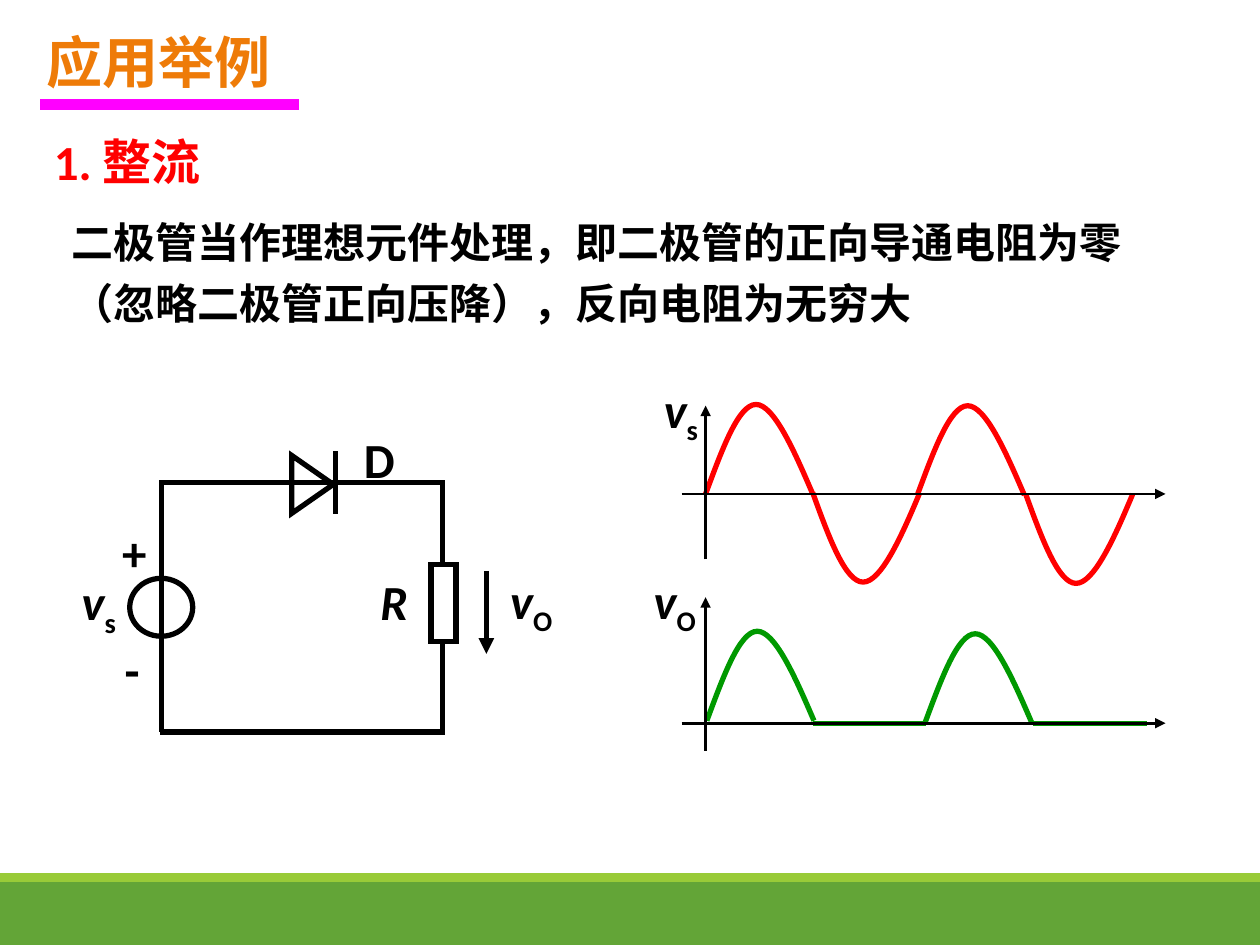
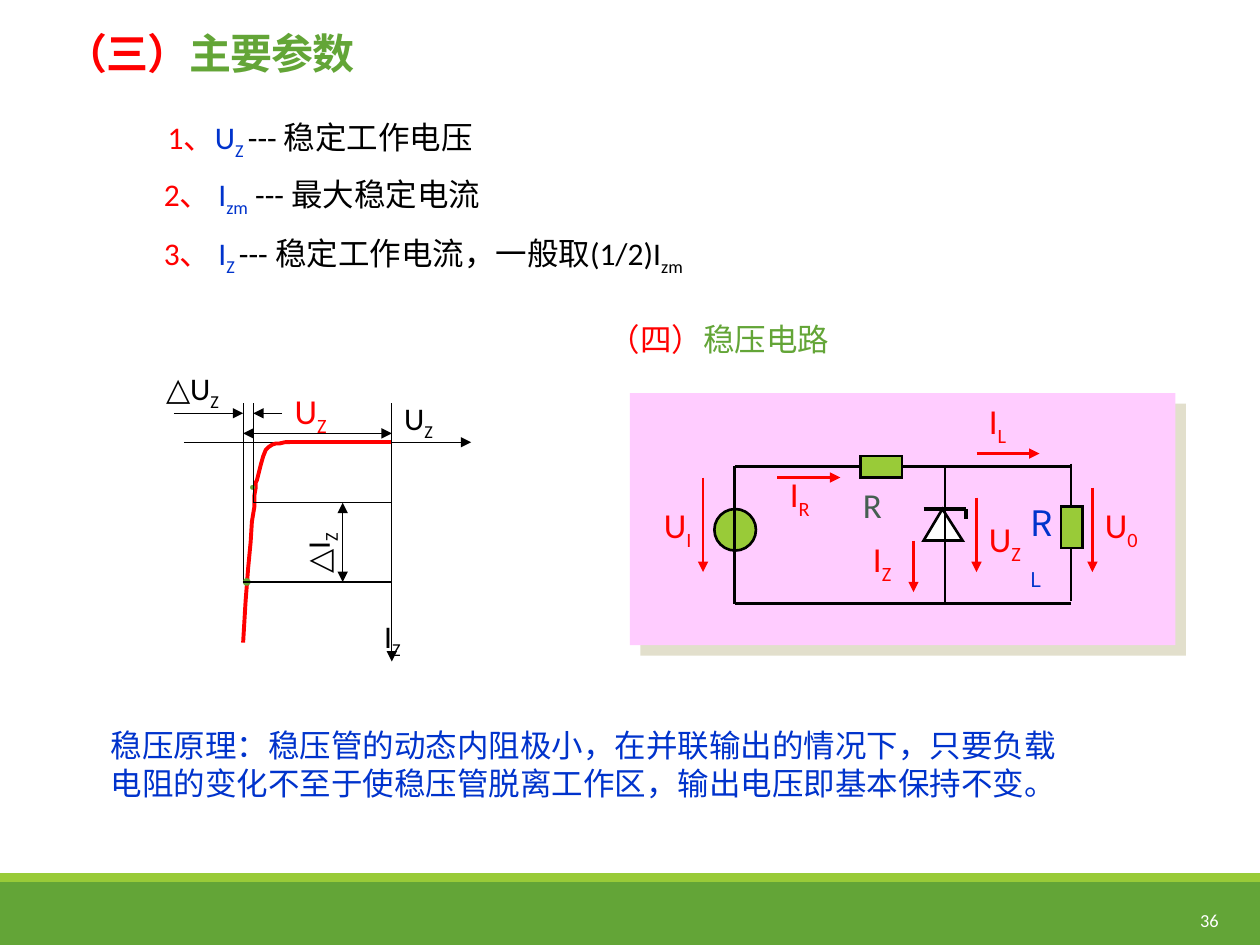
from dataclasses import dataclass

import pptx
import pptx.dml.color
import pptx.enum.shapes
import pptx.enum.text
import pptx.oxml.ns
import pptx.util
from lxml import etree

SCALE = 9144  # EMU in one px, at 100 px to the inch
COLORS = {
    "black": "000000", "white": "FFFFFF", "red": "FF0000", "blue": "0033CC",
    "green": "63A537", "lime": "99CB38", "orange": "EE7B08", "magenta": "FF00FF",
    "wave": "009900", "pink": "FFCCFF", "shade": "E2DFCC", "slate": "455F51",
}
LATIN, CJK, SERIF = "Calibri", "Noto Sans CJK SC", "Times New Roman"
SHAPES = pptx.enum.shapes.MSO_SHAPE
ANCHORS = pptx.enum.text.MSO_ANCHOR
ALIGN = pptx.enum.text.PP_ALIGN
TAIL, BOTH = ("tailEnd",), ("headEnd", "tailEnd")
qn = pptx.oxml.ns.qn

@dataclass
class Wire:
    start: tuple
    end: tuple
    color: str = "black"
    width: float = 1.5
    arrows: tuple = ()
    cap: str = "flat"

@dataclass
class Area:
    x: int
    y: int
    w: int
    h: int

@dataclass
class Box(Area):
    fill: str = ""
    line: str = "black"
    width: float = 1.5
    kind: int = SHAPES.RECTANGLE
    rotation: int = 0
    shadow: str = ""

@dataclass
class Outline:
    points: list
    color: str
    width: float
    fill: str = ""
    closed: bool = False
    curved: bool = False  # points after the first are Bézier triples

@dataclass
class Run:
    text: str
    color: str = ""
    sub: bool = False
    italic: bool = False

@dataclass
class Label(Area):
    runs: list
    size: float
    color: str = "black"
    font: str = LATIN
    bold: bool = False
    inset: bool = True
    anchor: int = ANCHORS.TOP
    align: int = ALIGN.LEFT
    spacing: float = 1.0
    tracking: int = 0
    rotation: int = 0

def px(*lengths: int) -> list:
    return [length * SCALE for length in lengths]

def rgb(name: str) -> pptx.dml.color.RGBColor:
    return pptx.dml.color.RGBColor.from_string(COLORS[name])

def style_shape(shape, fill: str, line: str, width: float) -> None:
    shape.shadow.inherit = False
    shape.fill.background()
    if fill:
        shape.fill.solid()
        shape.fill.fore_color.rgb = rgb(fill)
    shape.line.fill.background()
    if line:
        shape.line.color.rgb = rgb(line)
        shape.line.width = pptx.util.Pt(width)
        etree.SubElement(shape.line._get_or_add_ln(), qn("a:miter"), lim="800000")

def draw_wire(slide, wire: Wire) -> None:
    connector = slide.shapes.add_connector(
        pptx.enum.shapes.MSO_CONNECTOR.STRAIGHT, *px(*wire.start, *wire.end))
    connector.line.color.rgb = rgb(wire.color)
    connector.line.width = pptx.util.Pt(wire.width)
    stroke = connector.line._get_or_add_ln()
    stroke.set("cap", wire.cap)
    for end in wire.arrows:
        etree.SubElement(stroke, qn(f"a:{end}"), type="triangle")
    etree.SubElement(connector._element.spPr, qn("a:effectLst"))

def draw_box(slide, box: Box) -> None:
    shape = slide.shapes.add_shape(box.kind, *px(box.x, box.y, box.w, box.h))
    style_shape(shape, box.fill, box.line, box.width)
    shape.rotation = box.rotation
    if box.shadow:
        cast = etree.SubElement(shape._element.spPr.find(qn("a:effectLst")), qn("a:outerShdw"),
                                blurRad="0", dist="107950", dir="2700000", algn="tl")
        etree.SubElement(cast, qn("a:srgbClr"), val=COLORS[box.shadow])

def draw_outline(slide, outline: Outline) -> None:
    builder = slide.shapes.build_freeform(*outline.points[0], scale=SCALE)
    builder.add_line_segments(outline.points[1:], close=outline.closed)
    shape = builder.convert_to_shape()
    style_shape(shape, outline.fill, outline.color, outline.width)
    if outline.curved:
        segments = list(shape._element.iter(qn("a:lnTo")))
        for first in range(0, len(segments), 3):
            curve = etree.Element(qn("a:cubicBezTo"))
            segments[first].addprevious(curve)
            for segment in segments[first:first + 3]:
                curve.append(segment[0])
                segment.getparent().remove(segment)

def draw_label(slide, label: Label) -> None:
    textbox = slide.shapes.add_textbox(*px(label.x, label.y, label.w, label.h))
    textbox.rotation = label.rotation
    frame = textbox.text_frame
    frame.word_wrap, frame.vertical_anchor = True, label.anchor
    if not label.inset:
        frame.margin_left = frame.margin_right = frame.margin_top = frame.margin_bottom = 0
    paragraph = frame.paragraphs[0]
    paragraph.alignment, paragraph.line_spacing = label.align, label.spacing
    font = paragraph.font
    font.name, font.size, font.bold = label.font, pptx.util.Pt(label.size), label.bold
    font.color.rgb = rgb(label.color)
    defaults = paragraph._p.pPr.find(qn("a:defRPr"))
    defaults.set("spc", str(label.tracking))
    etree.SubElement(defaults, qn("a:ea"), typeface=CJK)
    for part in label.runs:
        run = paragraph.add_run()
        run.text = part.text
        if part.color:
            run.font.color.rgb = rgb(part.color)
        if part.italic:
            run.font.italic = True
        if part.sub:
            run._r.get_or_add_rPr().set("baseline", "-25000")

DRAWERS = {Wire: draw_wire, Box: draw_box, Outline: draw_outline, Label: draw_label}

def draw(slide, *parts) -> None:
    for part in parts:
        DRAWERS[type(part)](slide, part)

def add_banded_slide(deck):
    slide = deck.slides.add_slide(deck.slide_layouts[6])
    draw(slide, Box(0, 700, 1000, 50, "green", ""), Box(0, 693, 1000, 7, "lime", ""))
    return slide

def symbol(letter: str, index: str, italic: bool = False) -> list:
    return [Run(letter, italic=italic), Run(index, sub=True)]

def half_wave(x: int, base: int, height: int, color: str) -> Outline:
    middle, peak = base - height // 2, base - height
    return Outline([(x, base), (x + 13, middle), (x + 26, peak), (x + 40, peak),
                    (x + 54, peak), (x + 70, middle), (x + 85, base)], color, 3, curved=True)

def circuit_label(x: int, y: int, w: int, runs: list) -> Label:
    return Label(x, y, w, 57, runs, 28, bold=True)

def thick(start: tuple, end: tuple, arrows: tuple = (), cap: str = "flat") -> Wire:
    return Wire(start, end, "black", 3, arrows, cap)

def build_rectifier(deck) -> None:
    slide = add_banded_slide(deck)
    v_s, v_o = symbol("v", "s", True), symbol("v", "O", True)
    # Headings and explanation
    draw(slide,
         Label(27, 17, 376, 63, [Run("应用举例")], 32, "orange", CJK, True),
         Label(33, 96, 582, 59, [Run("1. 整流")], 28, "red", bold=True,
               anchor=ANCHORS.MIDDLE, spacing=1.1),
         Wire((36, 83), (233, 83), "magenta", 6, cap="sq"),
         Label(47, 159, 876, 106,
               [Run("二极管当作理想元件处理，即二极管的正向导通电阻为零"
                    "（忽略二极管正向压降），反向电阻为无穷大")],
               24, font=SERIF, bold=True, anchor=ANCHORS.MIDDLE, spacing=1.2))
    # Rectifier circuit
    draw(slide,
         thick((129, 383), (353, 383)), thick((127, 581), (353, 581)),
         thick((351, 383), (351, 581)), thick((386, 453), (386, 519), TAIL),
         circuit_label(279, 336, 60, [Run("D")]),
         circuit_label(292, 449, 49, [Run("R", italic=True)]),
         Box(225, 368, 46, 33, width=3, kind=SHAPES.ISOSCELES_TRIANGLE, rotation=90),
         thick((266, 406), (266, 360), cap="sq"),
         Box(342, 448, 20, 61, "white", width=3),
         circuit_label(395, 448, 60, v_o),
         thick((128, 381), (128, 581)),
         Box(103, 459, 50, 46, width=3, kind=SHAPES.OVAL),
         circuit_label(55, 449, 57, v_s),
         circuit_label(87, 410, 39, [Run("+")]),
         circuit_label(89, 503, 39, [Run("-")]))
    # Input and output waveforms
    for x, base, height in ((560, 392, 71), (645, 391, -71), (728, 393, 71), (814, 392, -71)):
        draw(slide, half_wave(x, base, height, "red"))
    draw(slide, half_wave(561, 572, 71, "wave"), half_wave(734, 574, 71, "wave"))
    draw(slide, *[Wire((x, 574), (x + 90, 574), "wave", 3) for x in (645, 820)])
    draw(slide, *[Wire((541, y), (925, y), arrows=TAIL) for y in (392, 574)])
    draw(slide, *[Wire((560, y), (560, y - 122), arrows=TAIL) for y in (596, 444)])
    draw(slide, circuit_label(517, 296, 57, v_s), circuit_label(509, 448, 60, v_o))

def parameter(x: int, y: int, w: int, number: str, letter: str, index: str, *meaning) -> Label:
    runs = [Run(number, "red"), Run(letter, "blue"), Run(index, "blue", True), *meaning]
    return Label(x, y, w, 40, runs, 18, inset=False)

def red_symbol(x: int, y: int, w: int, letter: str, index: str) -> Label:
    return Label(x, y, w, 43, symbol(letter, index), 20, "red")

def thin(start: tuple, end: tuple, arrows: tuple = ()) -> Wire:
    return Wire(start, end, "black", 0.75, arrows)

def build_zener(deck) -> None:
    slide = add_banded_slide(deck)
    # Page number, headings and text
    draw(slide,
         Label(869, 710, 108, 40, [Run("36")], 10.5, "white",
               anchor=ANCHORS.MIDDLE, align=ALIGN.RIGHT),
         Label(42, 9, 308, 58, [Run("（三）", "red"), Run("主要参数")], 24, "green", CJK, True,
               anchor=ANCHORS.BOTTOM, spacing=0.85, tracking=-50),
         parameter(133, 94, 417, "1、", "U", "Z ", Run("--- 稳定工作电压")),
         parameter(130, 139, 408, "2、 ", "I", "zm", Run(" --- 最大稳定电流")),
         parameter(130, 186, 625, "3、 ", "I", "Z ",
                   Run("--- 稳定工作电流，一般取(1/2)I"), Run("zm", sub=True)),
         Label(483, 254, 275, 40, [Run("（四）", "red"), Run("稳压电路")], 18, "green", CJK,
               inset=False),
         Label(88, 576, 770, 61,
               [Run("稳压原理：稳压管的动态内阻极小，在并联输出的情况下，只要负载"
                    "电阻的变化不至于使稳压管脱离工作区，输出电压即基本保持不变。")],
               18, "blue", CJK, inset=False))
    # Regulator circuit
    draw(slide,
         Box(500, 312, 433, 200, "pink", "", shadow="shade"),
         Wire((583, 370), (850, 370)), Wire((583, 370), (583, 479)),
         Wire((583, 479), (850, 479)), Wire((750, 370), (750, 479)),
         Box(567, 404, 33, 33, "lime", kind=SHAPES.OVAL),
         Wire((583, 404), (583, 445)),
         Outline([(733, 429), (748, 404), (764, 429)], "black", 1.5, "white", True),
         Wire((733, 404), (767, 404), width=2.25), Wire((767, 404), (767, 412), width=2.25),
         Wire((750, 437), (750, 379)), Wire((850, 368), (850, 477)),
         Box(842, 402, 17, 33, "lime"), Box(683, 362, 33, 17, "lime"),
         Label(675, 379, 50, 43, [Run("R")], 20, "slate"),
         Label(808, 393, 43, 43, symbol("R", "L"), 20, "blue", CJK))
    # Voltages and currents of the circuit
    for start, end in (((558, 379), (558, 454)), ((617, 379), (667, 379)),
                       ((725, 429), (725, 470)), ((775, 395), (775, 454)),
                       ((867, 387), (867, 454)), ((775, 360), (825, 360))):
        draw(slide, Wire(start, end, "red", arrows=TAIL))
    for x, y, w, name in ((517, 395, 47, "UI"), (617, 370, 44, "IR"), (683, 422, 43, "IZ"),
                          (775, 406, 52, "UZ"), (867, 395, 49, "U0"), (775, 312, 43, "IL")):
        draw(slide, red_symbol(x, y, w, *name))
    # Reverse breakdown curve with its axes
    draw(slide,
         thin((193, 344), (311, 344), BOTH), red_symbol(224, 304, 52, "U", "Z"),
         thin((146, 351), (374, 351), TAIL), thin((311, 320), (311, 525), TAIL),
         Label(311, 312, 71, 40, symbol("U", "Z"), 18),
         Label(295, 485, 55, 40, symbol("I", "Z"), 18),
         Outline([(230, 351), (226, 351), (222, 352), (219, 352), (216, 353), (213, 355),
                  (211, 357), (209, 362), (207, 369), (204, 381), (203, 383), (203, 387),
                  (202, 393), (202, 402), (200, 414), (199, 430), (197, 451), (195, 477),
                  (193, 510)], "red", 2.25),
         Wire((226, 351), (310, 351), "red", 2.25))
    # Working range on the curve
    draw(slide,
         thin((193, 462), (193, 320)),
         Label(177, 422, 59, 57, [Run("．")], 28, "green"),
         Label(185, 359, 54, 50, [Run("．")], 18, "green"),
         thin((201, 399), (201, 320)),
         thin((138, 328), (193, 328), TAIL), thin((224, 328), (201, 328), TAIL),
         Label(122, 288, 79, 40, symbol("△U", "Z"), 18),
         thin((201, 399), (311, 399)), thin((193, 462), (311, 462)),
         thin((272, 399), (272, 462), BOTH),
         Label(219, 412, 66, 40, symbol("△I", "Z"), 18, rotation=270))

def main() -> None:
    deck = pptx.Presentation()
    deck.slide_width, deck.slide_height = px(1000, 750)
    build_rectifier(deck)
    build_zener(deck)
    deck.save("out.pptx")

if __name__ == "__main__":
    main()
